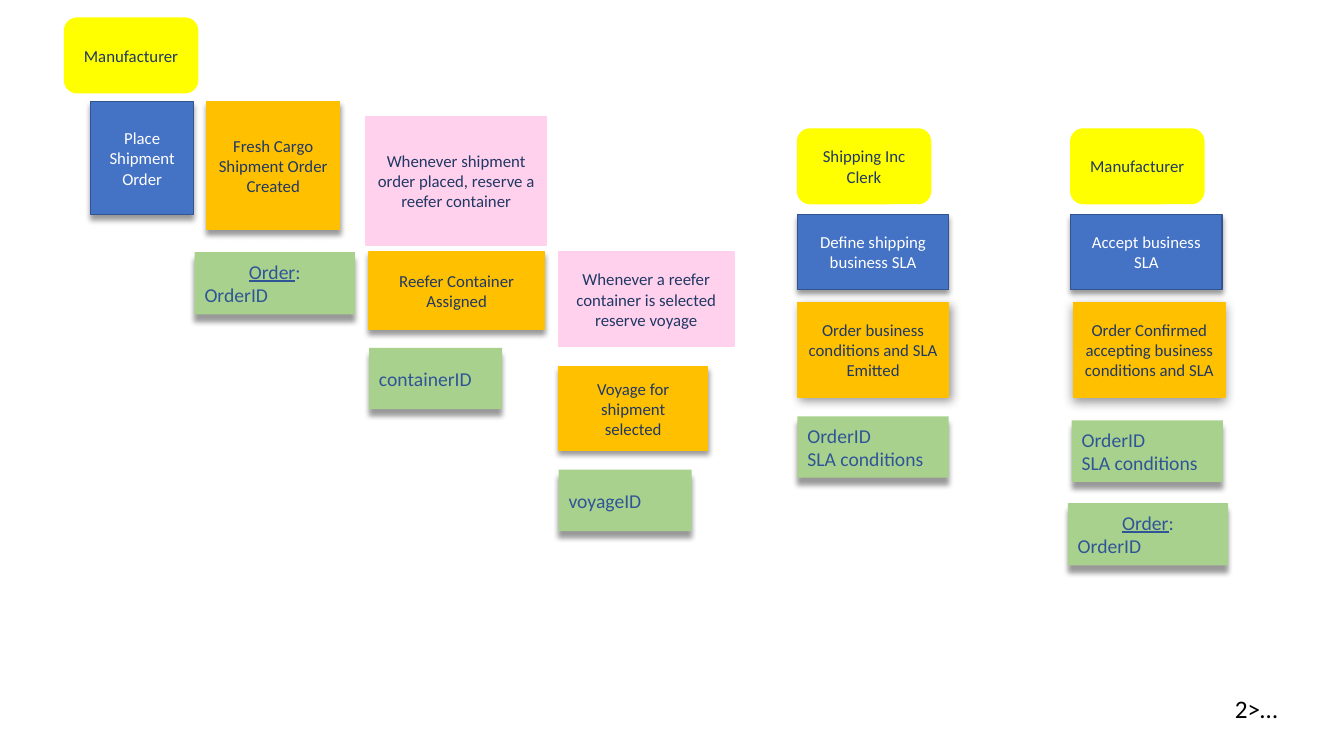
"""Build the event storming board for a fresh cargo shipment order."""
from lxml import etree
from pptx import Presentation, util as u
from pptx.dml.color import RGBColor
from pptx.enum import shapes, text
from pptx.oxml.ns import qn

SLIDE = (13.33, 7.5)
PAGE_MARK = "2>…"
ORDER = ["Order:", "OrderID"]
SLA = ["OrderID", "SLA conditions"]

# kind, left, width, [(top, height, paragraphs)]
NOTES = [
    ("actor", 0.64, 1.32, [(0.18, 0.74, ["Manufacturer"])]),
    ("command", 0.9, 1.02, [(1.01, 1.12, ["Place Shipment Order"])]),
    ("event", 2.05, 1.32, [(1.01, 1.27, ["Fresh Cargo Shipment Order Created"])]),
    ("data", 1.93, 1.59, [(2.5, 0.62, ORDER)]),
    ("policy", 3.63, 1.79, [(1.16, 1.27, ["Whenever shipment order placed, reserve a reefer container"])]),
    ("event", 3.66, 1.74, [(2.5, 0.77, ["Reefer Container Assigned"])]),
    ("data", 3.66, 1.32, [(3.45, 0.61, ["containerID"])]),
    ("policy", 5.54, 1.74, [(2.5, 0.94, ["Whenever a reefer container is selected reserve voyage"])]),
    ("event", 5.54, 1.48, [(3.64, 0.83, ["Voyage for shipment", "selected"])]),
    ("data", 5.54, 1.32, [(4.66, 0.61, ["voyageID"])]),
    ("actor", 7.91, 1.32, [(1.28, 0.74, ["Shipping Inc Clerk"])]),
    ("command", 7.91, 1.5, [(2.13, 0.74, ["Define shipping business SLA"])]),
    ("side event", 7.91, 1.5, [(3, 0.94, ["Order business conditions and SLA", "Emitted"])]),
    ("data", 7.91, 1.5, [(4.13, 0.61, SLA)]),
    ("actor", 10.62, 1.32, [(1.28, 0.74, ["Manufacturer"])]),
    ("command", 10.62, 1.5, [(2.13, 0.74, ["Accept business SLA"])]),
    ("soft event", 10.65, 1.5, [(3, 0.94, ["Order Confirmed accepting business conditions and SLA"])]),
    ("data", 10.63, 1.5, [(4.17, 0.61, SLA)]),
    ("data", 10.59, 1.59, [(4.99, 0.62, ORDER)]),
]

EVENT = {"fill": "FFC000", "line": "FFC000", "ink": "203864", "size": 12, "shadow": (4, 3, 90)}
THEME = {
    "font": "Calibri",
    "mark": {"ink": "000000", "size": 18},
    "actor": {"fill": "FFFF00", "line": "FFFF00", "ink": "203864", "size": 12, "round": True},
    "command": {"fill": "4472C4", "line": "325491", "ink": "FFFFFF", "size": 12, "shadow": (4, 3, 90)},
    "event": EVENT,
    "soft event": {**EVENT, "shadow": (8, 3, 90)},
    "side event": {**EVENT, "shadow": (7, 3, 50)},
    "policy": {"fill": "FFD1EC", "line": "FFD1EC", "ink": "203864", "size": 12},
    "data": {"fill": "A9D18E", "ink": "2F5597", "size": 14, "shadow": (4, 5, 90), "left": True},
}


def write(para, words, style, **extra):
    span = para.add_run()
    span.text = words
    font = {"name": THEME["font"], "size": u.Pt(style["size"]), **extra}
    for name, value in font.items():
        setattr(span.font, name, value)
    span.font.color.rgb = RGBColor.from_string(style["ink"])


def cast_shadow(box, blur, distance, angle):
    effects = box._element.spPr.find(qn("a:effectLst"))
    shadow = etree.SubElement(effects, qn("a:outerShdw"), {
        "blurRad": str(u.Pt(blur)), "dist": str(u.Pt(distance)),
        "dir": str(angle * 60000), "algn": "t", "rotWithShape": "0"})
    color = etree.SubElement(shadow, qn("a:srgbClr"), val="000000")
    etree.SubElement(color, qn("a:alpha"), val="40000")


def add_note(page, kind, area, paragraphs):
    style = THEME[kind]
    preset = shapes.MSO_SHAPE.ROUNDED_RECTANGLE if style.get("round") else shapes.MSO_SHAPE.RECTANGLE
    box = page.shapes.add_shape(preset, *map(u.Inches, area))
    box.fill.solid()
    box.fill.fore_color.rgb = RGBColor.from_string(style["fill"])
    if "line" in style:
        box.line.color.rgb = RGBColor.from_string(style["line"])
        box.line.width = u.Pt(1)
    else:
        box.line.fill.background()
    box.shadow.inherit = False
    if "shadow" in style:
        cast_shadow(box, *style["shadow"])
    frame = box.text_frame
    frame.word_wrap = True
    frame.vertical_anchor = text.MSO_ANCHOR.MIDDLE
    for index, words in enumerate(paragraphs):
        para = frame.add_paragraph() if index else frame.paragraphs[0]
        heading = words.endswith(":")
        left = style.get("left") and not heading
        para.alignment = text.PP_ALIGN.LEFT if left else text.PP_ALIGN.CENTER
        if heading:
            write(para, words[:-1], style, underline=True)
            write(para, ":", style)
        else:
            write(para, words, style)


def add_mark(page):
    box = page.shapes.add_textbox(*map(u.Inches, (12.15, 6.83, 0.63, 0.4)))
    frame = box.text_frame
    for name, value in {"word_wrap": False, "auto_size": text.MSO_AUTO_SIZE.SHAPE_TO_FIT_TEXT}.items():
        setattr(frame, name, value)
    write(frame.paragraphs[0], PAGE_MARK, THEME["mark"])


def main():
    deck = Presentation()
    deck.slide_width, deck.slide_height = map(u.Inches, SLIDE)
    page = deck.slides.add_slide(deck.slide_layouts.get_by_name("Blank"))
    add_mark(page)
    for kind, left, width, stack in NOTES:
        for top, height, paragraphs in stack:
            add_note(page, kind, (left, top, width, height), paragraphs)
    deck.save("out.pptx")


if __name__ == "__main__":
    main()
